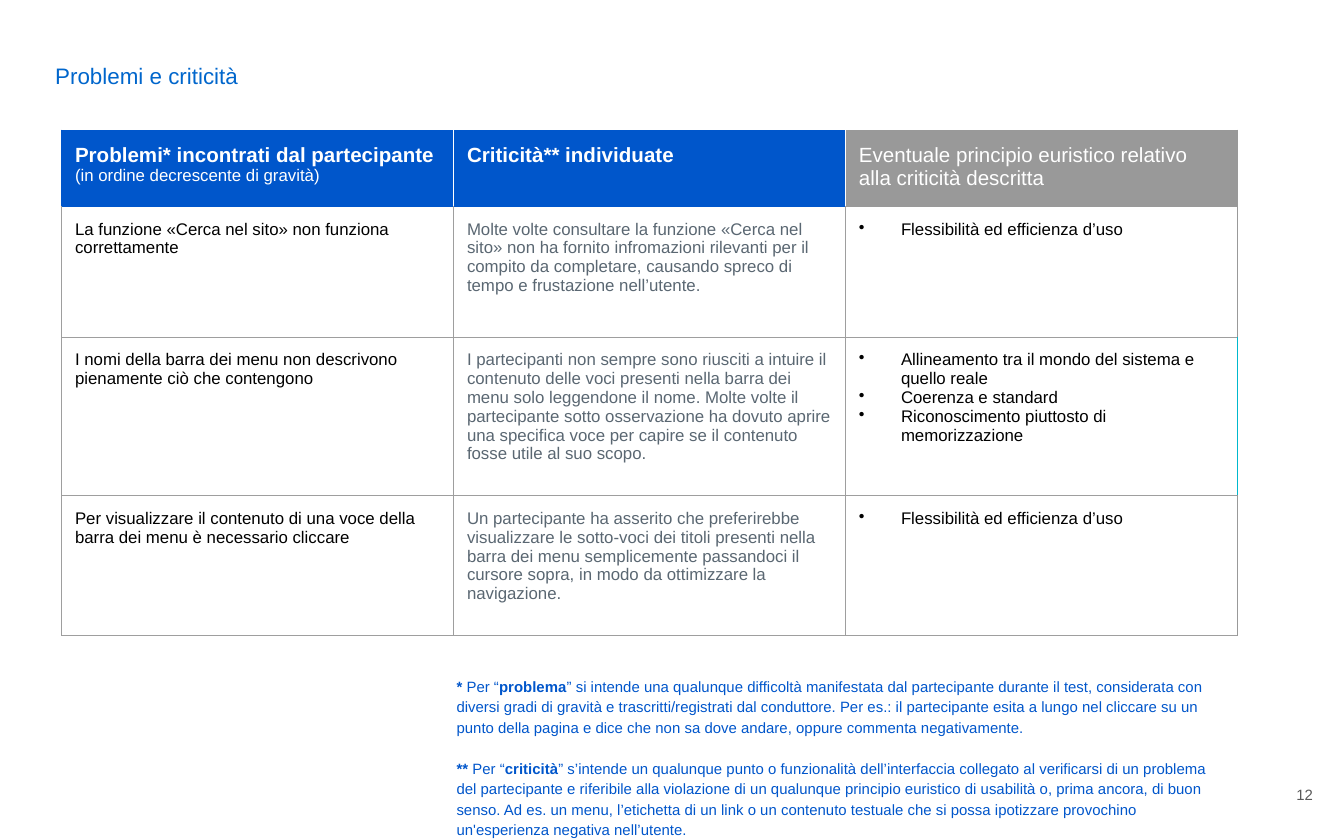
from lxml import etree
from pptx import Presentation
from pptx.dml.color import RGBColor
from pptx.enum.text import MSO_ANCHOR, PP_ALIGN
from pptx.oxml.ns import qn
from pptx.util import Pt

TOP, MID = MSO_ANCHOR.TOP, MSO_ANCHOR.MIDDLE
LEFT, RIGHT = PP_ALIGN.LEFT, PP_ALIGN.RIGHT

BLUE = RGBColor(0x00, 0x56, 0xCB)
SKY = RGBColor(0x00, 0x66, 0xCC)
CYAN = RGBColor(0x00, 0xB8, 0xCD)
GREY = RGBColor(0x99, 0x99, 0x99)
RULE = RGBColor(0x9E, 0x9E, 0x9E)
SLATE = RGBColor(0x5A, 0x67, 0x72)
DARK = RGBColor(0x59, 0x59, 0x59)
BLACK = RGBColor(0x00, 0x00, 0x00)
WHITE = RGBColor(0xFF, 0xFF, 0xFF)

INSET = Pt(7.2)
HANG = Pt(22.5)

# Header cells: lines of (text, size, bold), then the fill
HEADS = [
    ([("Problemi* incontrati dal partecipante", 11, True),
      ("(in ordine decrescente di gravità)", 9, False)], BLUE),
    ([("Criticità** individuate", 11, True)], BLUE),
    ([("Eventuale principio euristico relativo", 11, False),
      ("alla criticità descritta", 11, False)], GREY),
]

# Body rows: problem, criticality, heuristics
ROWS = [
    ("La funzione «Cerca nel sito» non funziona correttamente",
     "Molte volte consultare la funzione «Cerca nel sito» non ha fornito "
     "infromazioni rilevanti per il compito da completare, causando spreco di "
     "tempo e frustazione nell’utente.",
     ["Flessibilità ed efficienza d’uso"]),
    ("I nomi della barra dei menu non descrivono pienamente ciò che contengono",
     "I partecipanti non sempre sono riusciti a intuire il contenuto delle voci "
     "presenti nella barra dei menu solo leggendone il nome. Molte volte il "
     "partecipante sotto osservazione ha dovuto aprire una specifica voce per "
     "capire se il contenuto fosse utile al suo scopo.",
     ["Allineamento tra il mondo del sistema e quello reale",
      "Coerenza e standard",
      "Riconoscimento piuttosto di memorizzazione"]),
    ("Per visualizzare il contenuto di una voce della barra dei menu è "
     "necessario cliccare",
     "Un partecipante ha asserito che preferirebbe visualizzare le sotto-voci "
     "dei titoli presenti nella barra dei menu semplicemente passandoci il "
     "cursore sopra, in modo da ottimizzare la navigazione.",
     ["Flessibilità ed efficienza d’uso"]),
]

# Footnotes: bold and plain pieces take turns
NOTES = [
    ("* ", "Per “", "problema",
     "” si intende una qualunque difficoltà manifestata dal partecipante durante "
     "il test, considerata con diversi gradi di gravità e trascritti/registrati "
     "dal conduttore. Per es.: il partecipante esita a lungo nel cliccare su un "
     "punto della pagina e dice che non sa dove andare, oppure commenta "
     "negativamente."),
    ("** ", "Per “", "criticità",
     "” s’intende un qualunque punto o funzionalità dell’interfaccia collegato al "
     "verificarsi di un problema del partecipante e riferibile alla violazione di "
     "un qualunque principio euristico di usabilità o, prima ancora, di buon "
     "senso. Ad es. un menu, l’etichetta di un link o un contenuto testuale che "
     "si possa ipotizzare provochino un'esperienza negativa nell’utente."),
]


class Page:
    """Holds the style and the current slide."""

    def __init__(self, slide, face="Arial"):
        self.slide = slide
        self.face = face

    def style(self, run, size, color, bold=False):
        font = run.font
        font.name, font.size, font.bold = self.face, Pt(size), bold
        font.color.rgb = color

    def frame(self, box, anchor):
        shape = self.slide.shapes.add_textbox(*map(Pt, box))
        frame = shape.text_frame
        frame.word_wrap = True
        frame.vertical_anchor = anchor
        frame.margin_left = frame.margin_right = INSET
        frame.margin_top = frame.margin_bottom = INSET
        return frame

    def label(self, box, text, size, color, align=LEFT):
        frame = self.frame(box, MID)
        frame.text = text
        para = frame.paragraphs[0]
        para.alignment = align
        self.style(para.runs[0], size, color)

    def notes(self, box, notes, size, color):
        frame = self.frame(box, TOP)
        for i, parts in enumerate(notes):
            para = frame.paragraphs[0] if i == 0 else frame.add_paragraph()
            para.line_spacing = 1.15
            para.space_after = Pt(11)
            for j, part in enumerate(parts):
                run = para.add_run()
                run.text = part
                self.style(run, size, color, j % 2 == 0)

    def table(self, left, top, width, heights, cols):
        shape = self.slide.shapes.add_table(
            len(heights), cols, Pt(left), Pt(top),
            Pt(width * cols), Pt(sum(heights)))
        table = shape.table
        table.first_row = table.horz_banding = False
        for col in table.columns:
            col.width = Pt(width)
        for row, height in zip(table.rows, heights):
            row.height = Pt(height)
        return table

    def cell(self, cell, lines, color, edges, fill=None, bullet=False):
        """Lines are (text, size, bold); edges are left, right, top, bottom."""
        cell.margin_left = cell.margin_right = INSET
        cell.margin_top = cell.margin_bottom = INSET
        cell.text_frame.text = "\n".join(line[0] for line in lines)
        for para, (_, size, bold) in zip(cell.text_frame.paragraphs, lines):
            self.style(para.runs[0], size, color, bold)
            if bullet:
                self.bullet(para)
        for side, edge in zip("LRTB", edges):
            self.edge(cell, side, edge)
        if fill is None:
            cell.fill.background()
        else:
            cell.fill.solid()
            cell.fill.fore_color.rgb = fill

    def bullet(self, para):
        props = para._p.get_or_add_pPr()
        props.set("marL", str(HANG))
        props.set("indent", str(-HANG))
        etree.SubElement(props, qn("a:buChar"), char="•")

    def edge(self, cell, side, color):
        props = cell._tc.get_or_add_tcPr()
        line = etree.SubElement(props, qn("a:ln" + side), w=str(Pt(0.75)))
        fill = etree.SubElement(line, qn("a:solidFill"))
        etree.SubElement(fill, qn("a:srgbClr"), val=str(color))


def main():
    deck = Presentation()
    deck.slide_width, deck.slide_height = Pt(720), Pt(450)
    page = Page(deck.slides.add_slide(deck.slide_layouts[6]))

    # Page number and title
    page.label((667.5, 408.25, 43, 34.5), "12", 8, DARK, RIGHT)
    page.label((22.5, 28, 305, 24.5), "Problemi e criticità", 12, SKY)

    # Table header
    grid = page.table(33, 69.75, 210, (39, 70, 85, 75), len(HEADS))
    last = len(HEADS) - 1
    for c, (lines, fill) in enumerate(HEADS):
        edges = (WHITE if c else fill, WHITE if c < last else fill, fill, fill)
        page.cell(grid.cell(0, c), lines, WHITE, edges, fill)

    # Table body
    for r, (issue, flaw, rules) in enumerate(ROWS, 1):
        columns = (([issue], BLACK), ([flaw], SLATE), (rules, BLACK))
        for c, (texts, color) in enumerate(columns):
            side = RULE if c < last else CYAN if r == 2 else GREY
            roof = HEADS[c][1] if r == 1 else RULE
            page.cell(grid.cell(r, c), [(t, 9, False) for t in texts], color,
                      (RULE, side, roof, RULE),
                      WHITE if c == last else None, c == last)

    # Footnotes
    page.notes((237.5, 354.25, 420, 44.5), NOTES, 8, BLUE)

    deck.save("out.pptx")


if __name__ == "__main__":
    main()
